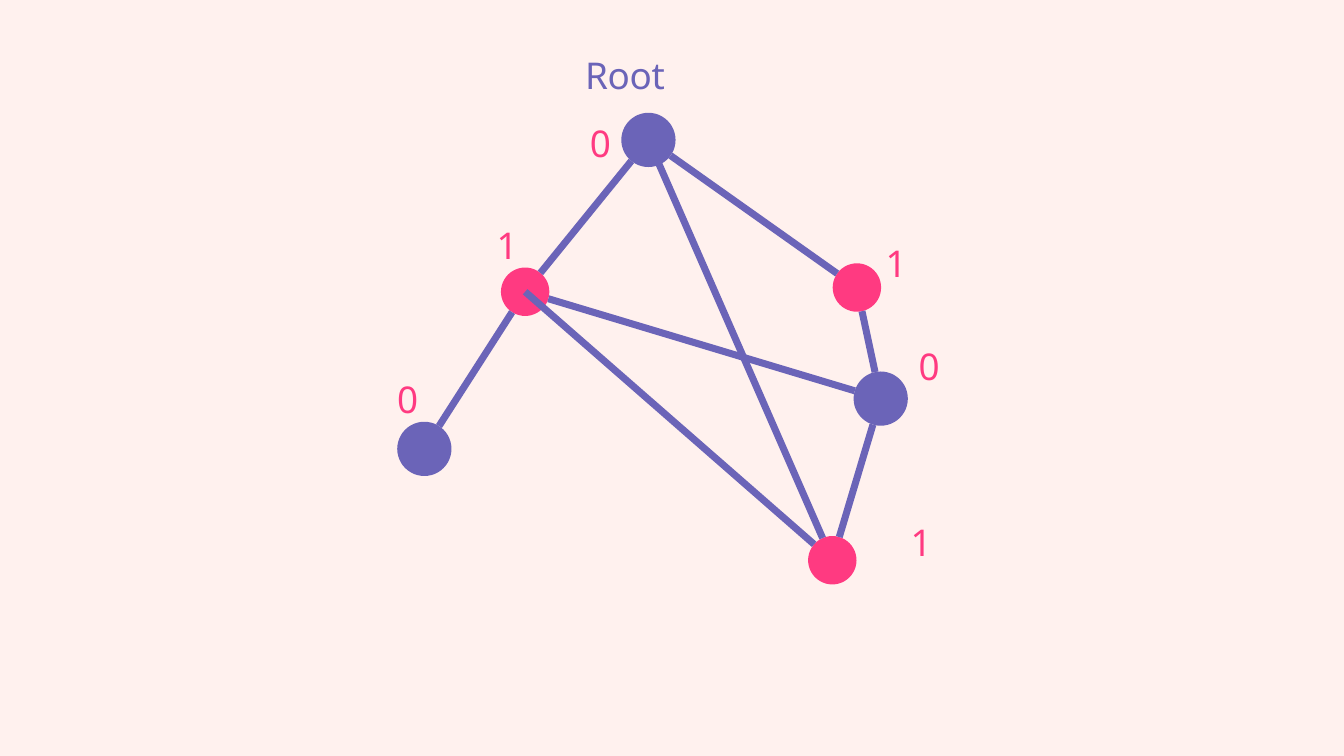
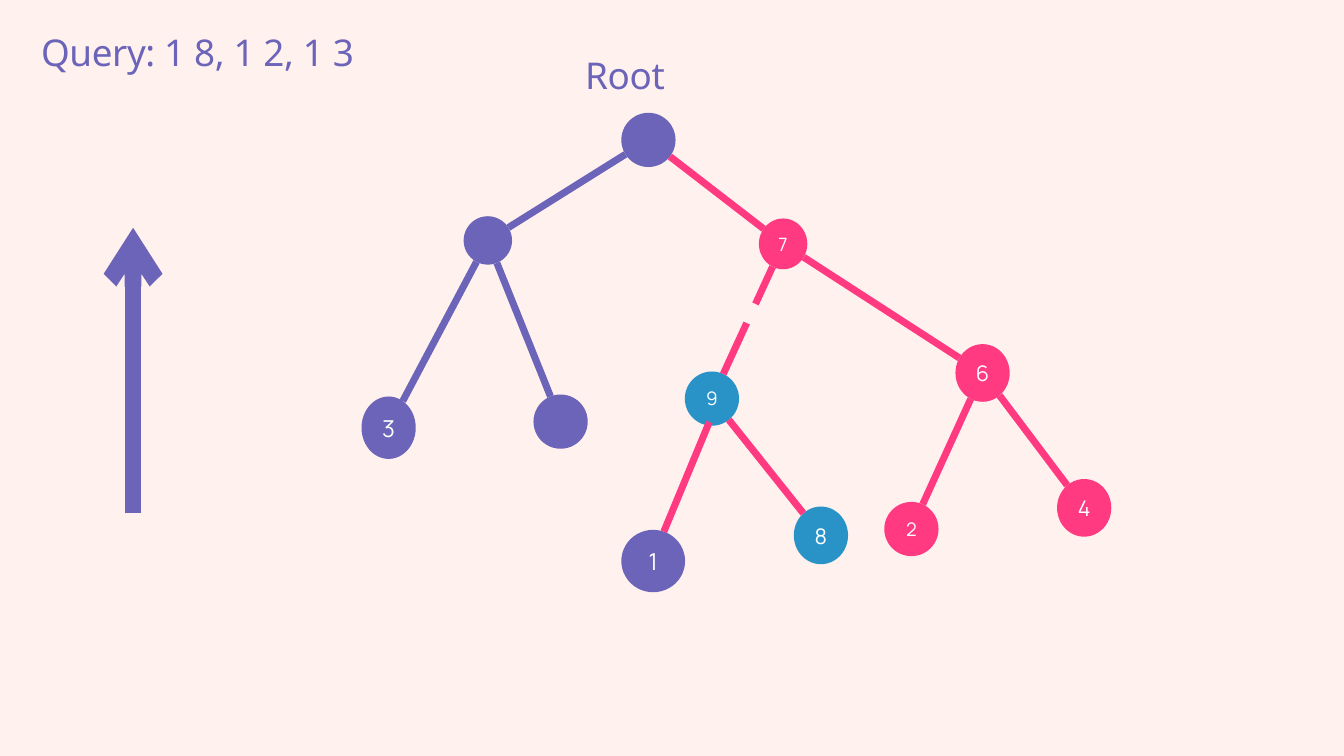
"""Build two slides of node diagrams: a 0/1 coloured graph and a tree with ancestor queries."""

from dataclasses import dataclass
from math import atan2, cos, hypot, sin

from lxml.etree import SubElement
from pptx import Presentation
from pptx.dml.color import RGBColor
from pptx.enum.dml import MSO_LINE
from pptx.enum.shapes import MSO_CONNECTOR, MSO_SHAPE
from pptx.enum.text import MSO_ANCHOR, MSO_AUTO_SIZE, PP_ALIGN
from pptx.oxml.ns import qn
from pptx.util import Cm, Pt


@dataclass(frozen=True)
class Theme:
    background: str = "FFF1EE"
    violet: str = "6B64B8"
    pink: str = "FF3A81"
    blue: str = "2992C6"
    white: str = "FFFFFF"
    label_font: str = "Noto Sans"
    node_font: str = "Manrope"
    label_size: float = 39.5
    label_leading: float = 63.1
    label_tracking: int = -40
    node_leading: float = 1.4
    edge_width: float = 7.5
    arrow_width: float = 18


@dataclass(frozen=True)
class Node:
    x: float
    y: float
    color: str
    width: float = 2.05
    height: float = 2.05
    number: str = ""
    size: float = 20

    def rim(self, other):
        """Return the point of the outline that faces the other node."""
        angle = atan2(other.y - self.y, other.x - self.x)
        radius = 1 / hypot(2 * cos(angle) / self.width, 2 * sin(angle) / self.height)
        return self.x + radius * cos(angle), self.y + radius * sin(angle)


@dataclass(frozen=True)
class Edge:
    start: str
    end: str
    color: str = Theme.violet
    from_centre: bool = False
    dashed: bool = False
    end_shift: tuple = (0, 0)


VIOLET, PINK, BLUE = Theme.violet, Theme.pink, Theme.blue
SMALL = 1.83
ROOT = Node(24.51, 5.29, VIOLET)
ROOT_LABEL = ("Root", 22.12, 1.42, 3.45, VIOLET)
QUERY = ("Query: 1 8, 1 2, 1 3", 1.55, 0.58, 16.89, VIOLET)
LABEL_HEIGHT = 2.08
DIGIT_WIDTH = 1.07
ARROW = ((5.03, 19.41), (5.03, 8.61))

GRAPH_NODES = {
    "root": ROOT,
    "right": Node(32.39, 10.87, PINK, SMALL, SMALL),
    "left": Node(19.85, 11.03, PINK, SMALL, SMALL),
    "leaf": Node(16.04, 16.97, VIOLET),
    "middle": Node(33.29, 15.07, VIOLET),
    "bottom": Node(31.46, 21.18, PINK, SMALL, SMALL),
}
GRAPH_EDGES = [
    Edge("root", "right"),
    Edge("root", "left"),
    Edge("middle", "right"),
    Edge("left", "leaf"),
    Edge("middle", "bottom"),
    Edge("middle", "left"),
    Edge("root", "bottom", from_centre=True),
    Edge("left", "bottom", from_centre=True),
]
DEPTH_PARITIES = [
    ("0", 22.3, 4.01),
    ("0", 15.01, 13.67),
    ("0", 34.72, 12.45),
    ("1", 34.42, 19.1),
    ("1", 33.48, 8.56),
    ("1", 18.77, 7.87),
]

TREE_NODES = {
    "root": ROOT,
    "7": Node(29.6, 9.22, PINK, SMALL, 1.92, "7", 19.7),
    "left": Node(18.44, 9.09, VIOLET, SMALL, SMALL),
    "3": Node(14.69, 16.17, VIOLET, 2.05, 2.36, "3", 25),
    "6": Node(37.14, 14.1, PINK, 2.05, 2.18, "6", 23),
    "9": Node(26.91, 15.07, BLUE, number="9"),
    "inner": Node(21.19, 15.94, VIOLET),
    "4": Node(40.98, 19.2, PINK, 2.05, 2.18, "4", 23),
    "2": Node(34.45, 20, PINK, number="2"),
    "8": Node(31.03, 20.24, BLUE, 2.05, 2.18, "8", 23),
    "1": Node(24.69, 21.21, VIOLET, 2.41, 2.36, "1", 25),
}
TREE_EDGES = [
    Edge("root", "7", PINK),
    Edge("root", "left"),
    Edge("6", "7", PINK),
    Edge("left", "3"),
    Edge("9", "7", PINK, dashed=True),
    Edge("left", "inner"),
    Edge("4", "6", PINK),
    Edge("2", "6", PINK),
    Edge("8", "9", PINK),
    Edge("1", "9", PINK, end_shift=(0.25, -0.08)),
]


def format_text(frame, color, font, size, leading, align):
    frame.margin_left = frame.margin_right = frame.margin_top = frame.margin_bottom = 0
    paragraph = frame.paragraphs[0]
    paragraph.alignment = align
    paragraph.line_spacing = Pt(leading)
    style = paragraph.runs[0].font
    style.name, style.size = font, Pt(size)
    style.color.rgb = RGBColor.from_string(color)


def fill_label(holder, text, x, y, width, color):
    holder.left, holder.top = Cm(x), Cm(y)
    holder.width, holder.height = Cm(width), Cm(LABEL_HEIGHT)
    frame = holder.text_frame
    frame.text = text
    frame.word_wrap = True
    frame.auto_size = MSO_AUTO_SIZE.NONE
    frame.vertical_anchor = MSO_ANCHOR.TOP
    format_text(frame, color, Theme.label_font, Theme.label_size, Theme.label_leading, PP_ALIGN.LEFT)
    frame.paragraphs[0].runs[0].font._element.set("spc", str(Theme.label_tracking))


def add_label(slide, *label):
    fill_label(slide.shapes.add_textbox(0, 0, 0, 0), *label)


def add_node(slide, node):
    disc = slide.shapes.add_shape(
        MSO_SHAPE.OVAL,
        Cm(node.x - node.width / 2),
        Cm(node.y - node.height / 2),
        Cm(node.width),
        Cm(node.height),
    )
    disc.shadow.inherit = False
    disc.fill.solid()
    disc.fill.fore_color.rgb = RGBColor.from_string(node.color)
    disc.line.fill.background()
    if node.number:
        frame = disc.text_frame
        frame.text = node.number
        frame.word_wrap = False
        frame.vertical_anchor = MSO_ANCHOR.MIDDLE
        leading = node.size * Theme.node_leading
        format_text(frame, Theme.white, Theme.node_font, node.size, leading, PP_ALIGN.CENTER)
        frame.margin_bottom = Cm(0.15)


def add_line(slide, start, end, color, width):
    ends = [Cm(length) for length in (*start, *end)]
    stroke = slide.shapes.add_connector(MSO_CONNECTOR.STRAIGHT, *ends)
    stroke.line.color.rgb = RGBColor.from_string(color)
    stroke.line.width = Pt(width)
    SubElement(stroke._element.spPr, qn("a:effectLst"))
    return stroke


def add_edge(slide, nodes, edge):
    first, last = nodes[edge.start], nodes[edge.end]
    start = (first.x, first.y) if edge.from_centre else first.rim(last)
    end = [place + shift for place, shift in zip(last.rim(first), edge.end_shift)]
    stroke = add_line(slide, start, end, edge.color, Theme.edge_width)
    if edge.dashed:
        stroke.line.dash_style = MSO_LINE.LONG_DASH


def add_diagram(slide, nodes, edges):
    for node in nodes.values():
        add_node(slide, node)
    for edge in edges:
        add_edge(slide, nodes, edge)
    add_label(slide, *ROOT_LABEL)


def build_graph(deck):
    slide = deck.slides.add_slide(deck.slide_layouts.get_by_name("Blank"))
    add_diagram(slide, GRAPH_NODES, GRAPH_EDGES)
    for parity, x, y in DEPTH_PARITIES:
        add_label(slide, parity, x, y, DIGIT_WIDTH, PINK)


def build_tree(deck):
    slide = deck.slides.add_slide(deck.slide_layouts.get_by_name("Title Only"))
    fill_label(slide.shapes.title, *QUERY)
    arrow = add_line(slide, *ARROW, VIOLET, Theme.arrow_width)
    SubElement(arrow.line._get_or_add_ln(), qn("a:tailEnd"), type="arrow")
    add_diagram(slide, TREE_NODES, TREE_EDGES)


def main():
    deck = Presentation()
    deck.slide_width, deck.slide_height = Cm(50.8), Cm(28.58)
    backdrop = deck.slide_master.background.fill
    backdrop.solid()
    backdrop.fore_color.rgb = RGBColor.from_string(Theme.background)
    build_graph(deck)
    build_tree(deck)
    deck.save("out.pptx")


if __name__ == "__main__":
    main()
